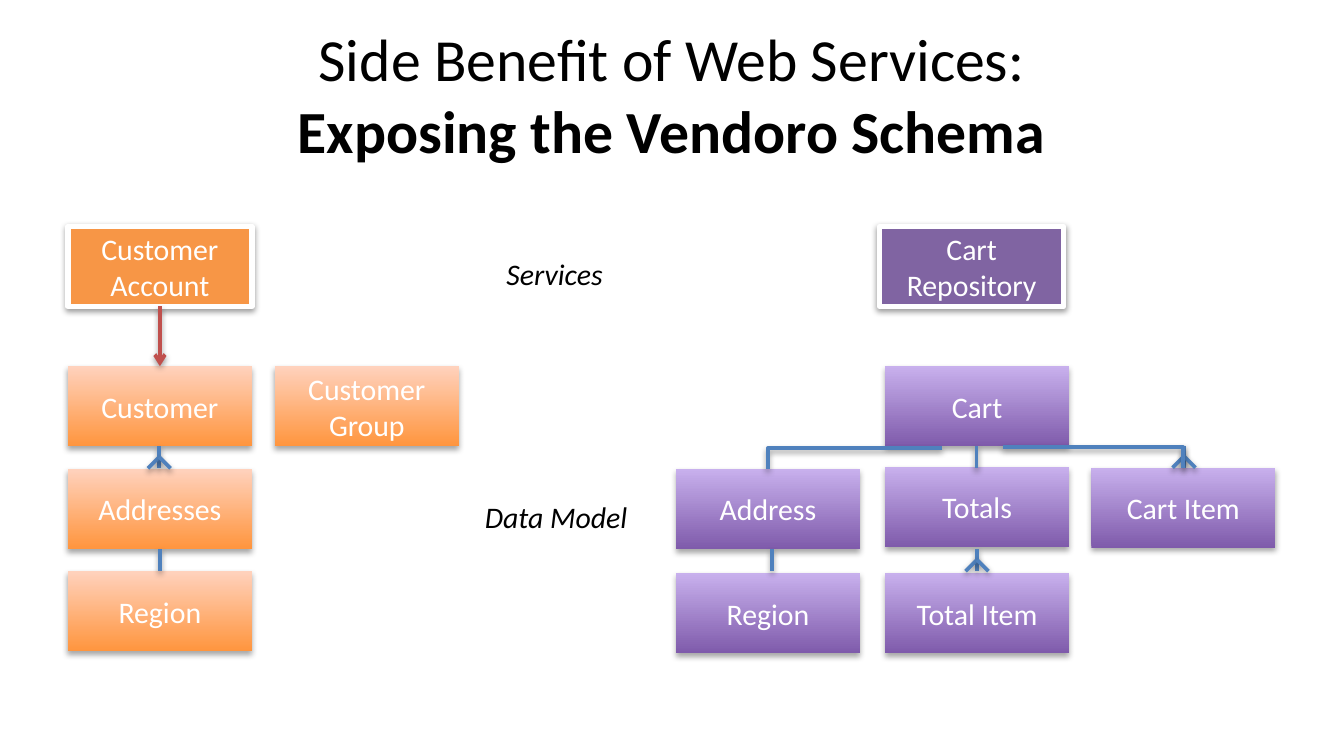
"""Build the slide on exposing a shop schema through web services."""
from lxml.etree import SubElement
from pptx import Presentation
from pptx.dml.color import RGBColor as RGB
from pptx.enum.shapes import MSO_CONNECTOR as LINK, MSO_SHAPE as SHAPE
from pptx.enum.text import MSO_ANCHOR as ANCHOR, MSO_AUTO_SIZE as FIT, PP_ALIGN as ALIGN
from pptx.oxml import parse_xml
from pptx.oxml.ns import nsdecls, qn
from pptx.util import Pt

PX = 4572
COLORS = {
    "text": "000000", "label": "FFFFFF", "frame": "FFFFFF",
    "relation": "4F81BD", "call": "C0504D",
    "account": "F79646", "repository": "8064A2",
    "customer": ("FF953E", "FFD2BD"), "cart": ("7F5BAB", "C8B0ED"),
}
FONTS = {
    "title": {"name": "Calibri", "size": Pt(32)},
    "label": {"name": "Calibri", "size": Pt(16)},
    "layer": {"name": "Calibri", "size": Pt(16), "italic": True},
}
BOX_WIDTH, BOX_HEIGHT = 274, 119


def cast_shadow(item, distance, opacity):
    item._element.spPr.append(parse_xml(
        f'<a:effectLst {nsdecls("a")}><a:outerShdw blurRad="40000" dist="{distance}" '
        f'dir="5400000" rotWithShape="0"><a:srgbClr val="000000">'
        f'<a:alpha val="{opacity * 1000}"/></a:srgbClr></a:outerShdw></a:effectLst>'))


def connect(holder, start, end, color="relation", kind=LINK.STRAIGHT):
    link = holder.add_connector(kind, *(v * PX for v in start + end))
    link.line.color.rgb = RGB.from_string(COLORS[color])
    link.line.width = Pt(2)
    cast_shadow(link, 20000, 38)
    return link


deck = Presentation()
deck.slide_width, deck.slide_height = 2000 * PX, 1125 * PX
slide = deck.slides.add_slide(deck.slide_layouts[5])
shapes = slide.shapes

title = shapes.title
for side, value in {"left": 100, "top": 45, "width": 1800, "height": 188}.items():
    setattr(title, side, value * PX)
title.text_frame.auto_size = FIT.NONE
title.text_frame.vertical_anchor = ANCHOR.MIDDLE
heading = title.text_frame.paragraphs[0]
heading.alignment = ALIGN.CENTER
for words, bold in (("Side Benefit of Web Services:", False),
                    ("Exposing the Vendoro Schema", True)):
    if bold:
        heading.add_line_break()
    run = heading.add_run()
    run.text = words
    for key, value in FONTS["title"].items():
        setattr(run.font, key, value)
    run.font.bold = bold
    run.font.color.rgb = RGB.from_string(COLORS["text"])

entities = [
    ("Customer", 101, 545, "customer"),
    ("Addresses", 101, 698, "customer"),
    ("Region", 101, 850, "customer"),
    ("Customer Group", 409, 545, "customer"),
    ("Customer Account", 101, 337, "account"),
    ("Cart", 1317, 545, "cart"),
    ("Cart Repository", 1309, 337, "repository"),
    ("Address", 1006, 698, "cart"),
    ("Totals", 1317, 695, "cart"),
    ("Region", 1006, 853, "cart"),
    ("Total Item", 1317, 853, "cart"),
    ("Cart Item", 1624, 696, "cart"),
]
for name, left, top, family in entities:
    entity = shapes.add_shape(
        SHAPE.RECTANGLE, *(v * PX for v in (left, top, BOX_WIDTH, BOX_HEIGHT)))
    if family in ("customer", "cart"):
        entity.fill.gradient()
        entity.fill.gradient_angle = 90
        for stop, color, position in zip(entity.fill.gradient_stops, COLORS[family], (0, 1)):
            stop.color.rgb = RGB.from_string(color)
            stop.position = position
        entity.line.fill.background()
        cast_shadow(entity, 23000, 35)
    else:
        entity.fill.solid()
        entity.fill.fore_color.rgb = RGB.from_string(COLORS[family])
        entity.line.color.rgb = RGB.from_string(COLORS["frame"])
        entity.line.width = Pt(3)
        cast_shadow(entity, 20000, 38)
    entity.text_frame.word_wrap = True
    entity.text_frame.vertical_anchor = ANCHOR.MIDDLE
    label = entity.text_frame.paragraphs[0]
    label.text = name
    label.alignment = ALIGN.CENTER
    for key, value in FONTS["label"].items():
        setattr(label.font, key, value)
    label.font.color.rgb = RGB.from_string(COLORS["label"])

for x, top, bottom in ((238, 817, 850), (1149, 817, 850), (1453, 664, 697)):
    connect(shapes, (x, top), (x, bottom))

for x, top, bottom in ((237, 664, 697), (1454, 817, 850), (1762, 663, 696)):
    crow_foot = shapes.add_group_shape().shapes
    connect(crow_foot, (x, top), (x, bottom))
    for toe in (x - 17, x + 17):
        connect(crow_foot, (x, bottom - 17), (toe, bottom))

for start, end in (((1492, 665), (1760, 697)), ((1402, 667), (1143, 698))):
    branch = connect(shapes, start, end, kind=LINK.ELBOW)
    branch._element.spPr.find(qn("a:prstGeom")).set("prst", "bentConnector2")

service_call = connect(shapes, (238, 456), (238, 545), "call")
SubElement(service_call._element.spPr.find(qn("a:ln")), qn("a:tailEnd"), type="arrow")

for name, left, top, width, alignment in (("Services", 734, 371, 186, ALIGN.LEFT),
                                          ("Data Model", 700, 732, 255, ALIGN.CENTER)):
    layer = shapes.add_textbox(*(v * PX for v in (left, top, width, 74))).text_frame
    layer.word_wrap = False
    layer.auto_size = FIT.SHAPE_TO_FIT_TEXT
    caption = layer.paragraphs[0]
    caption.text = name
    caption.alignment = alignment
    for key, value in FONTS["layer"].items():
        setattr(caption.font, key, value)
    caption.font.color.rgb = RGB.from_string(COLORS["text"])

deck.save("out.pptx")
